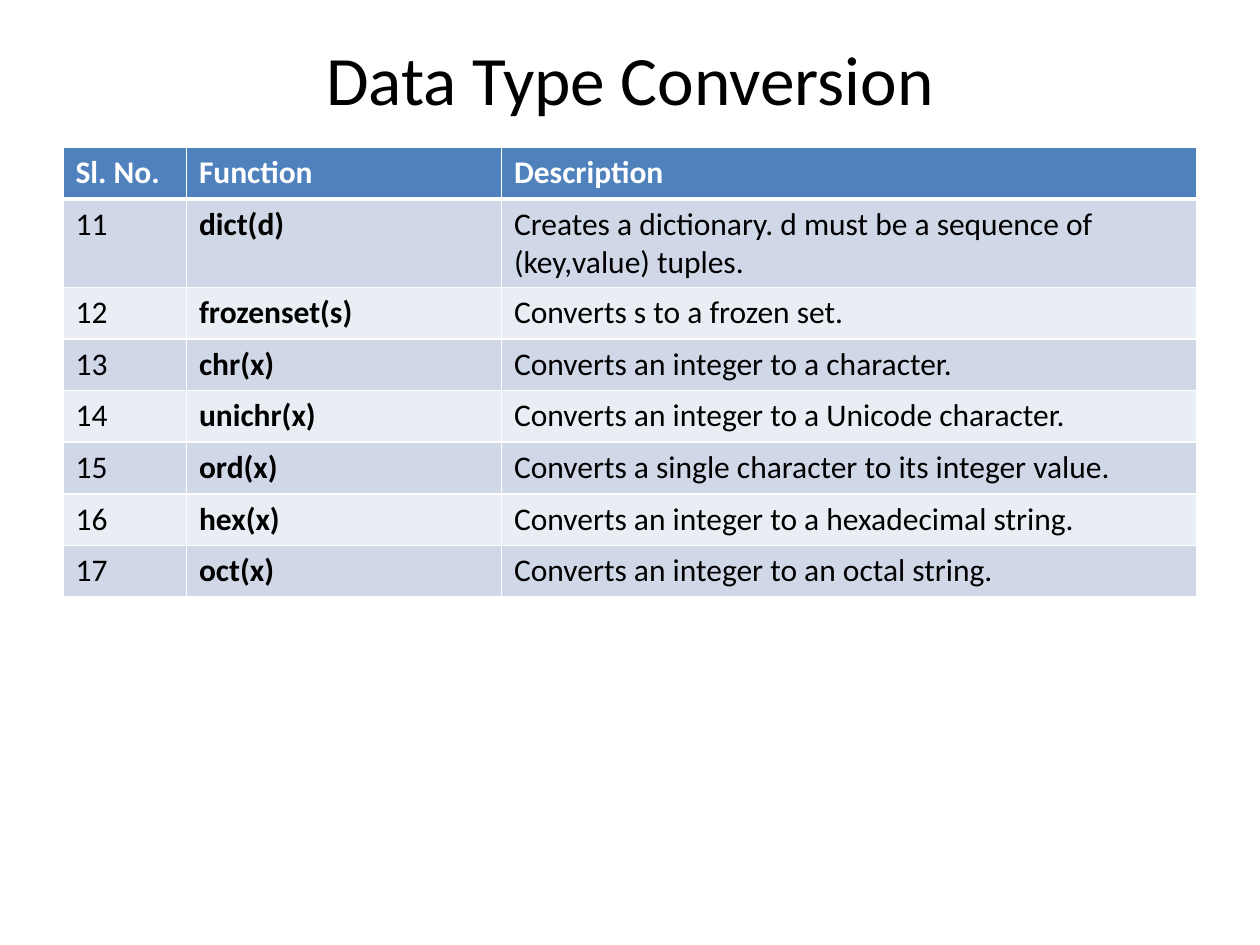
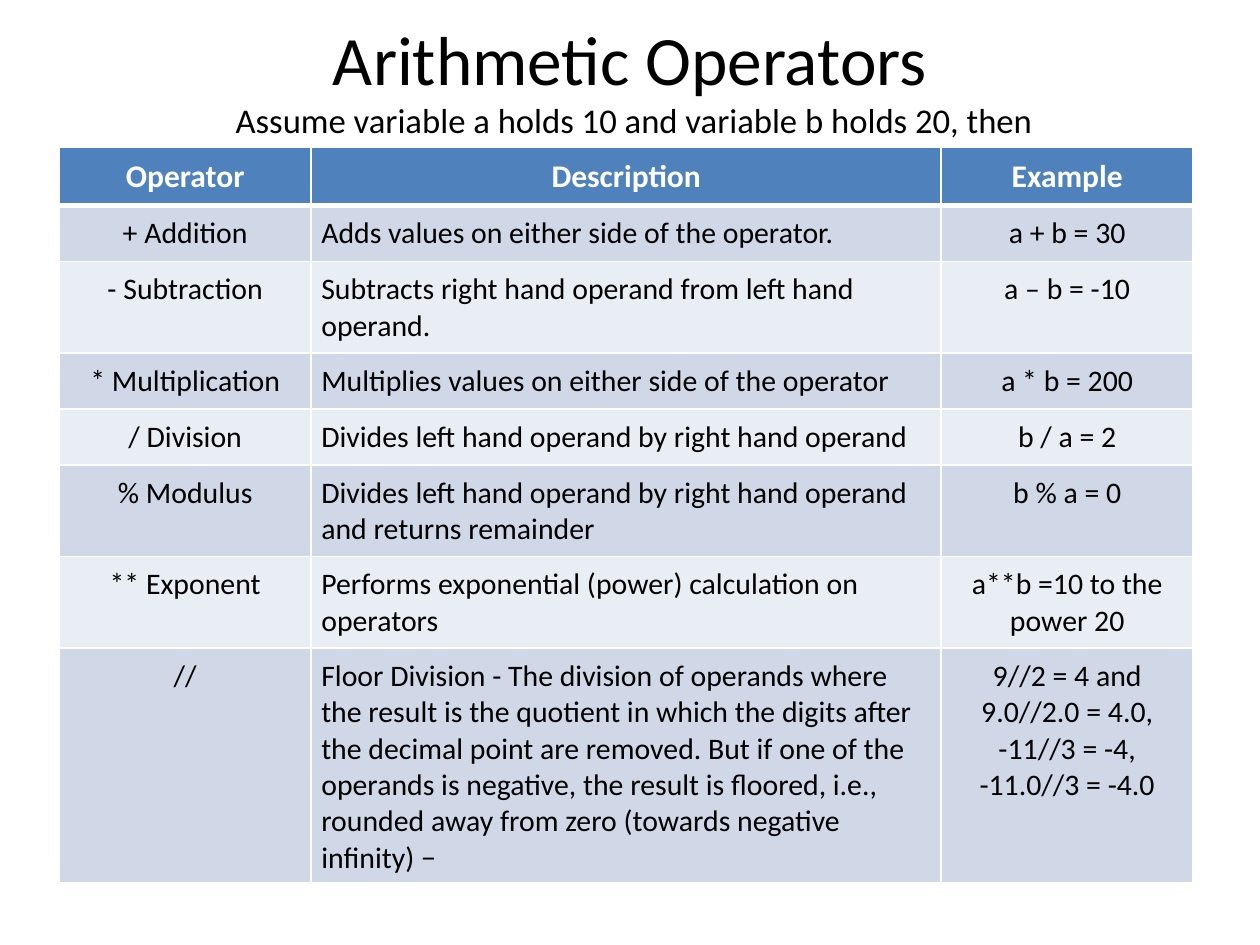
import dataclasses
import typing

import pptx
import pptx.dml.color
import pptx.enum.text
import pptx.oxml
import pptx.oxml.ns
import pptx.util

PX = 9144
ALIGN = pptx.enum.text.PP_ALIGN


@dataclasses.dataclass(frozen=True)
class Theme:
    font: str = "Calibri"
    text: str = "000000"
    white: str = "FFFFFF"
    header: str = "4F81BD"
    bands: tuple[str, str] = ("D0D8E8", "E9EDF4")
    title_size: float = 39.6
    subtitle_size: float = 19.8
    header_size: float = 18
    thin: float = 1
    thick: float = 3


@dataclasses.dataclass(frozen=True)
class Column:
    heading: str
    width: int
    align: typing.Any = ALIGN.LEFT
    heading_align: typing.Any = ALIGN.LEFT
    bold: bool = False


@dataclasses.dataclass(frozen=True)
class TableSlide:
    title: str
    subtitle: str
    left: int
    height: int
    body_size: float
    inset_x: int
    inset_y: int
    columns: list[Column]
    rows: list[tuple[str, ...]]


THEME = Theme()
TITLE_BOX = (50, 30, 900, 64)
TABLE_TOP = 117
ROW_HEIGHT = 41

SLIDES = [
    TableSlide(
        "Data Type Conversion", "", 50, 354, 18, 10, 5,
        [
            Column("Sl. No.", 98),
            Column("Function", 250, bold=True),
            Column("Description", 552),
        ],
        [
            ("11", "dict(d)", "Creates a dictionary. d must be a sequence of (key,value) tuples."),
            ("12", "frozenset(s)", "Converts s to a frozen set."),
            ("13", "chr(x)", "Converts an integer to a character."),
            ("14", "unichr(x)", "Converts an integer to a Unicode character."),
            ("15", "ord(x)", "Converts a single character to its integer value."),
            ("16", "hex(x)", "Converts an integer to a hexadecimal string."),
            ("17", "oct(x)", "Converts an integer to an octal string."),
        ],
    ),
    TableSlide(
        "Arithmetic Operators",
        " Assume variable a holds 10 and variable b holds 20, then",
        47, 588, 17, 8, 8,
        [
            Column("Operator", 200, ALIGN.CENTER, ALIGN.CENTER),
            Column("Description", 500, ALIGN.LEFT, ALIGN.CENTER),
            Column("Example", 200, ALIGN.CENTER, ALIGN.CENTER),
        ],
        [
            ("+ Addition", "Adds values on either side of the operator.", "a + b = 30"),
            ("- Subtraction", "Subtracts right hand operand from left hand operand.", "a – b = -10"),
            ("* Multiplication", "Multiplies values on either side of the operator", "a * b = 200"),
            ("/ Division", "Divides left hand operand by right hand operand", "b / a = 2"),
            ("% Modulus", "Divides left hand operand by right hand operand and returns remainder",
             "b % a = 0"),
            ("** Exponent", "Performs exponential (power) calculation on operators",
             "a**b =10 to the power 20"),
            ("//", "Floor Division - The division of operands where the result is the quotient "
             "in which the digits after the decimal point are removed. But if one of the operands "
             "is negative, the result is floored, i.e., rounded away from zero (towards negative "
             "infinity) −",
             "9//2 = 4 and 9.0//2.0 = 4.0, -11//3 = -4, -11.0//3 = -4.0"),
        ],
    ),
]


def px(n: int) -> pptx.util.Emu:
    return pptx.util.Emu(n * PX)


def rgb(color: str) -> pptx.dml.color.RGBColor:
    return pptx.dml.color.RGBColor.from_string(color)


def write(p: typing.Any, text: str, *, size: float, color: str = THEME.text,
          bold: bool = False, align: typing.Any = ALIGN.LEFT) -> None:
    p.alignment = align
    r = p.add_run()
    r.text = text
    r.font.name = THEME.font
    r.font.size = pptx.util.Pt(size)
    r.font.bold = bold
    r.font.color.rgb = rgb(color)


def add_title(s: typing.Any, title: str, subtitle: str) -> None:
    sp = s.shapes.add_textbox(*map(px, TITLE_BOX))
    tf = sp.text_frame
    tf.word_wrap = True
    tf.vertical_anchor = pptx.enum.text.MSO_ANCHOR.MIDDLE
    p = tf.paragraphs[0]
    write(p, title, size=THEME.title_size, align=ALIGN.CENTER)
    if subtitle:
        p.add_line_break()
        write(p, subtitle, size=THEME.subtitle_size, align=ALIGN.CENTER)


def set_borders(cell: typing.Any, top: float, bottom: float) -> None:
    tcPr = cell._tc.get_or_add_tcPr()
    widths = {"L": THEME.thin, "R": THEME.thin, "T": top, "B": bottom}
    for side, width in widths.items():
        tcPr.append(pptx.oxml.parse_xml(
            f'<a:ln{side} {pptx.oxml.ns.nsdecls("a")} w="{pptx.util.Pt(width)}">'
            f'<a:solidFill><a:srgbClr val="{THEME.white}"/></a:solidFill></a:ln{side}>'))


def add_grid(s: typing.Any, spec: TableSlide) -> None:
    width = sum(column.width for column in spec.columns)
    frame = s.shapes.add_table(len(spec.rows) + 1, len(spec.columns), px(spec.left),
                               px(TABLE_TOP), px(width), px(spec.height))
    table = frame.table
    for row in table.rows:
        row.height = px(ROW_HEIGHT)
    frame.height = px(spec.height)
    for j, column in enumerate(spec.columns):
        table.columns[j].width = px(column.width)
        texts = [column.heading] + [row[j] for row in spec.rows]
        for i, text in enumerate(texts):
            head = i == 0
            cell = table.cell(i, j)
            cell.margin_left = cell.margin_right = px(spec.inset_x)
            cell.margin_top = cell.margin_bottom = px(spec.inset_y)
            set_borders(cell, THEME.thick if i == 1 else THEME.thin,
                        THEME.thick if head else THEME.thin)
            cell.fill.solid()
            cell.fill.fore_color.rgb = rgb(THEME.header if head else THEME.bands[(i - 1) % 2])
            write(cell.text_frame.paragraphs[0], text,
                  size=THEME.header_size if head else spec.body_size,
                  color=THEME.white if head else THEME.text,
                  bold=head or column.bold,
                  align=column.heading_align if head else column.align)


def main() -> None:
    prs = pptx.Presentation()
    prs.slide_width, prs.slide_height = px(1000), px(750)
    for spec in SLIDES:
        s = prs.slides.add_slide(prs.slide_layouts[6])
        add_title(s, spec.title, spec.subtitle)
        add_grid(s, spec)
    prs.save("out.pptx")


if __name__ == "__main__":
    main()
